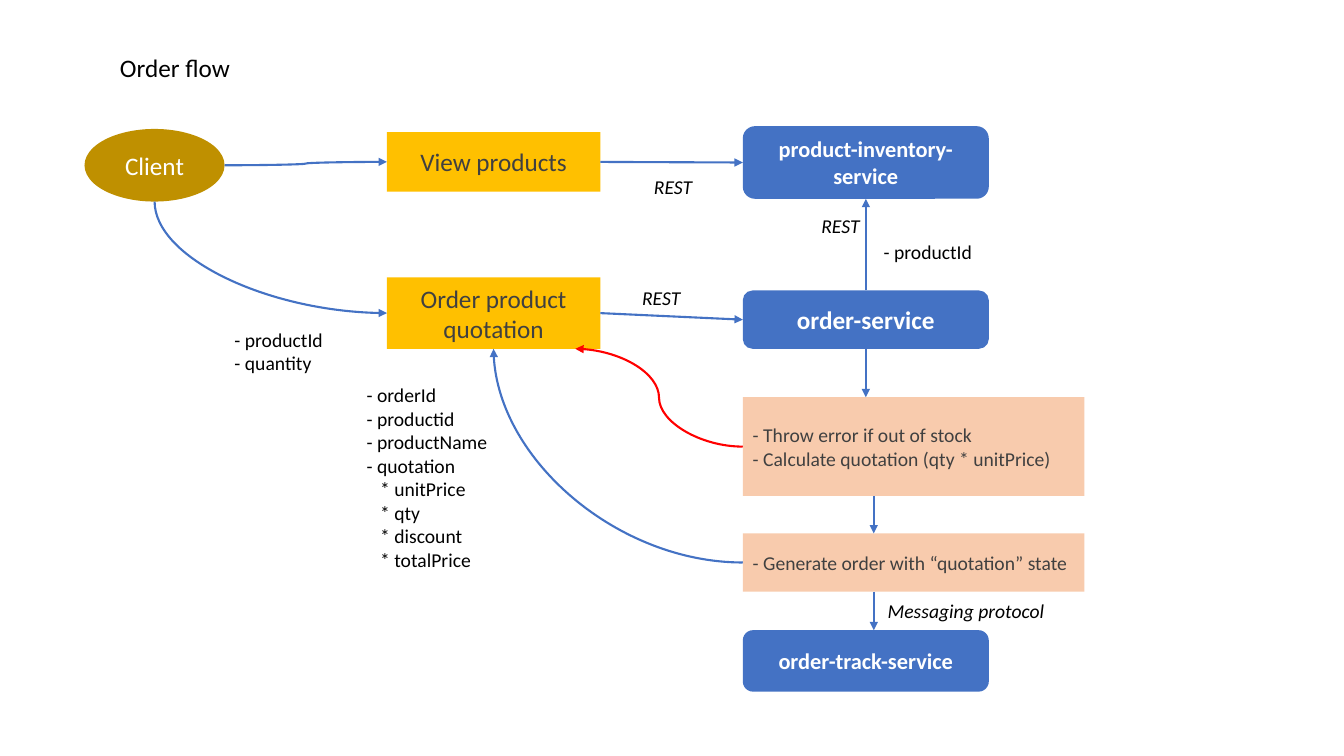
"""Build the order flow slide."""
import pptx
import pptx.dml.color
import pptx.enum.shapes
import pptx.enum.text
import pptx.util
from lxml import etree
from pptx.oxml.ns import qn

Cm, Pt = pptx.util.Cm, pptx.util.Pt
RGBColor = pptx.dml.color.RGBColor
MSO_SHAPE = pptx.enum.shapes.MSO_SHAPE
MSO_CONNECTOR = pptx.enum.shapes.MSO_CONNECTOR
PP_ALIGN = pptx.enum.text.PP_ALIGN
MSO_ANCHOR = pptx.enum.text.MSO_ANCHOR
MSO_AUTO_SIZE = pptx.enum.text.MSO_AUTO_SIZE

BLACK = RGBColor(0x00, 0x00, 0x00)
WHITE = RGBColor(0xFF, 0xFF, 0xFF)
GREY = RGBColor(0x40, 0x40, 0x40)
BROWN = RGBColor(0xBF, 0x90, 0x00)
AMBER = RGBColor(0xFF, 0xC0, 0x00)
BLUE = RGBColor(0x44, 0x72, 0xC4)
PEACH = RGBColor(0xF8, 0xCB, 0xAD)
RED = RGBColor(0xFF, 0x00, 0x00)

TITLE, TITLE_BOX = "Order flow", (2.77, 1.19, 3.53, 1.02)

PAGE_X, PAGE_W = 9.75, 5.38
SERVICE_X, SERVICE_W, STEP_W = 18.72, 6.2, 8.61
STEP_ARROW_X = 22.02
SUB_INDENT = 0.34

STYLES = {
    "client": (MSO_SHAPE.OVAL, BROWN, WHITE, False, PP_ALIGN.CENTER),
    "page": (MSO_SHAPE.RECTANGLE, AMBER, GREY, False, PP_ALIGN.CENTER),
    "service": (MSO_SHAPE.ROUNDED_RECTANGLE, BLUE, WHITE, True, PP_ALIGN.CENTER),
    "step": (MSO_SHAPE.RECTANGLE, PEACH, GREY, False, PP_ALIGN.LEFT),
}

NODES = {
    "client": ("client", (2.13, 3.25, 3.53, 1.83), 18, ["Client"]),
    "view": ("page", (PAGE_X, 3.33, PAGE_W, 1.5), 18, ["View products"]),
    "quote": ("page", (PAGE_X, 6.99, PAGE_W, 1.8), 18, ["Order product quotation"]),
    "inventory": ("service", (SERVICE_X, 3.18, SERVICE_W, 1.83), 16,
                  ["product-inventory-service"]),
    "order": ("service", (SERVICE_X, 7.32, SERVICE_W, 1.47), 18, ["order-service"]),
    "check": ("step", (SERVICE_X, 10.01, STEP_W, 2.49), 14,
              ["- Throw error if out of stock",
               "- Calculate quotation (qty * unitPrice)"]),
    "generate": ("step", (SERVICE_X, 13.44, STEP_W, 1.47), 14,
                 ["- Generate order with “quotation” state"]),
    "track": ("service", (SERVICE_X, 15.88, SERVICE_W, 1.55), 16,
              ["order-track-service"]),
}

LABELS = [
    ((5.66, 8.13, 2.92, 1.45), False, ["- productId", "- quantity"]),
    ((22.02, 5.92, 2.92, 0.86), False, ["- productId"]),
    ((22.12, 14.96, 5.21, 0.86), True, ["Messaging protocol"]),
    ((16.23, 4.29, 1.6, 0.86), True, ["REST"]),
    ((15.93, 7.09, 1.6, 0.86), True, ["REST"]),
    ((20.45, 5.26, 1.6, 0.86), True, ["REST"]),
    ((8.99, 9.53, 3.63, 5.05), False,
     ["- orderId", "- productid", "- productName", "- quotation",
      "* unitPrice", "* qty", "* discount", "* totalPrice"]),
]

# Each arrow: start node and side, end node and side, route, colour, fixed x at start and end
ARROWS = [
    ("view", "right", "inventory", "left", "straight", BLUE, None, None),
    ("quote", "right", "order", "left", "straight", BLUE, None, None),
    ("order", "top", "inventory", "bottom", "straight", BLUE, None, None),
    ("order", "bottom", "check", "top", "straight", BLUE, None, 21.82),
    ("check", "bottom", "generate", "top", "straight", BLUE, STEP_ARROW_X, STEP_ARROW_X),
    ("generate", "bottom", "track", "top", "straight", BLUE, STEP_ARROW_X, STEP_ARROW_X),
    ("check", "left", "quote", "bottom", "s-curve", RED, None, 14.5),
    ("generate", "left", "quote", "bottom", "bend", BLUE, None, None),
    ("client", "right", "view", "left", "s-curve", BLUE, None, None),
    ("client", "bottom", "quote", "left", "bend down", BLUE, None, None),
]


def write(tf, lines, size, color, bold=False, italic=False, align=PP_ALIGN.LEFT):
    """Fill a text frame with one paragraph per line."""
    tf.word_wrap = True
    for i, line in enumerate(lines):
        p = tf.paragraphs[0] if i == 0 else tf.add_paragraph()
        p.text = line
        p.alignment = align
        p.font.name, p.font.size = "Calibri", Pt(size)
        p.font.bold, p.font.italic = bold, italic
        p.font.color.rgb = color
        if line.startswith("*"):
            p._p.get_or_add_pPr().set("marL", str(Cm(SUB_INDENT)))


def side_point(node, side, fixed_x):
    """Return the middle of one side of a node, or the point at a fixed x on it."""
    x, y, w, h = NODES[node][1]
    px, py = {"left": (x, y + h / 2), "right": (x + w, y + h / 2),
              "top": (x + w / 2, y), "bottom": (x + w / 2, y + h)}[side]
    return (px if fixed_x is None else fixed_x), py


def add_arrow(s, start, end, route, color):
    """Draw a straight or curved connector with an arrowhead at its end."""
    (x1, y1), (x2, y2) = start, end
    if route == "bend down":
        cx, cy, dx, dy = (x1 + x2) / 2, (y1 + y2) / 2, (x2 - x1) / 2, (y2 - y1) / 2
        x1, y1, x2, y2 = cx + dy, cy - dx, cx - dy, cy + dx
    kind = MSO_CONNECTOR.STRAIGHT if route == "straight" else MSO_CONNECTOR.CURVE
    c = s.shapes.add_connector(kind, Cm(x1), Cm(y1), Cm(x2), Cm(y2))
    c.line.color.rgb, c.line.width = color, Pt(1.5)
    etree.SubElement(c.line._get_or_add_ln(), qn("a:tailEnd"), type="triangle")
    spPr = c._element.spPr
    etree.SubElement(spPr, qn("a:effectLst"))
    if route.startswith("bend"):
        spPr.find(qn("a:prstGeom")).set("prst", "curvedConnector2")
    if route == "bend down":
        spPr.find(qn("a:xfrm")).set("rot", str(270 * 60000))


def main():
    """Build and save the slide."""
    prs = pptx.Presentation()
    prs.slide_width, prs.slide_height = Cm(33.87), Cm(19.05)
    s = prs.slides.add_slide(prs.slide_layouts[5])

    title = s.shapes.title
    title.left, title.top, title.width, title.height = map(Cm, TITLE_BOX)
    write(title.text_frame, [TITLE], 18, BLACK)
    title.text_frame.vertical_anchor = MSO_ANCHOR.TOP
    title.text_frame.auto_size = MSO_AUTO_SIZE.SHAPE_TO_FIT_TEXT

    for style, box, size, lines in NODES.values():
        preset, fill, color, bold, align = STYLES[style]
        sp = s.shapes.add_shape(preset, *map(Cm, box))
        sp.shadow.inherit = False
        sp.fill.solid()
        sp.fill.fore_color.rgb = fill
        sp.line.fill.background()
        sp.text_frame.vertical_anchor = MSO_ANCHOR.MIDDLE
        write(sp.text_frame, lines, size, color, bold=bold, align=align)

    for node1, side1, node2, side2, route, color, fixed1, fixed2 in ARROWS:
        add_arrow(s, side_point(node1, side1, fixed1),
                  side_point(node2, side2, fixed2), route, color)

    for box, italic, lines in LABELS:
        tf = s.shapes.add_textbox(*map(Cm, box)).text_frame
        write(tf, lines, 14, BLACK, italic=italic)
        tf.auto_size = MSO_AUTO_SIZE.SHAPE_TO_FIT_TEXT

    prs.save("out.pptx")


if __name__ == "__main__":
    main()
